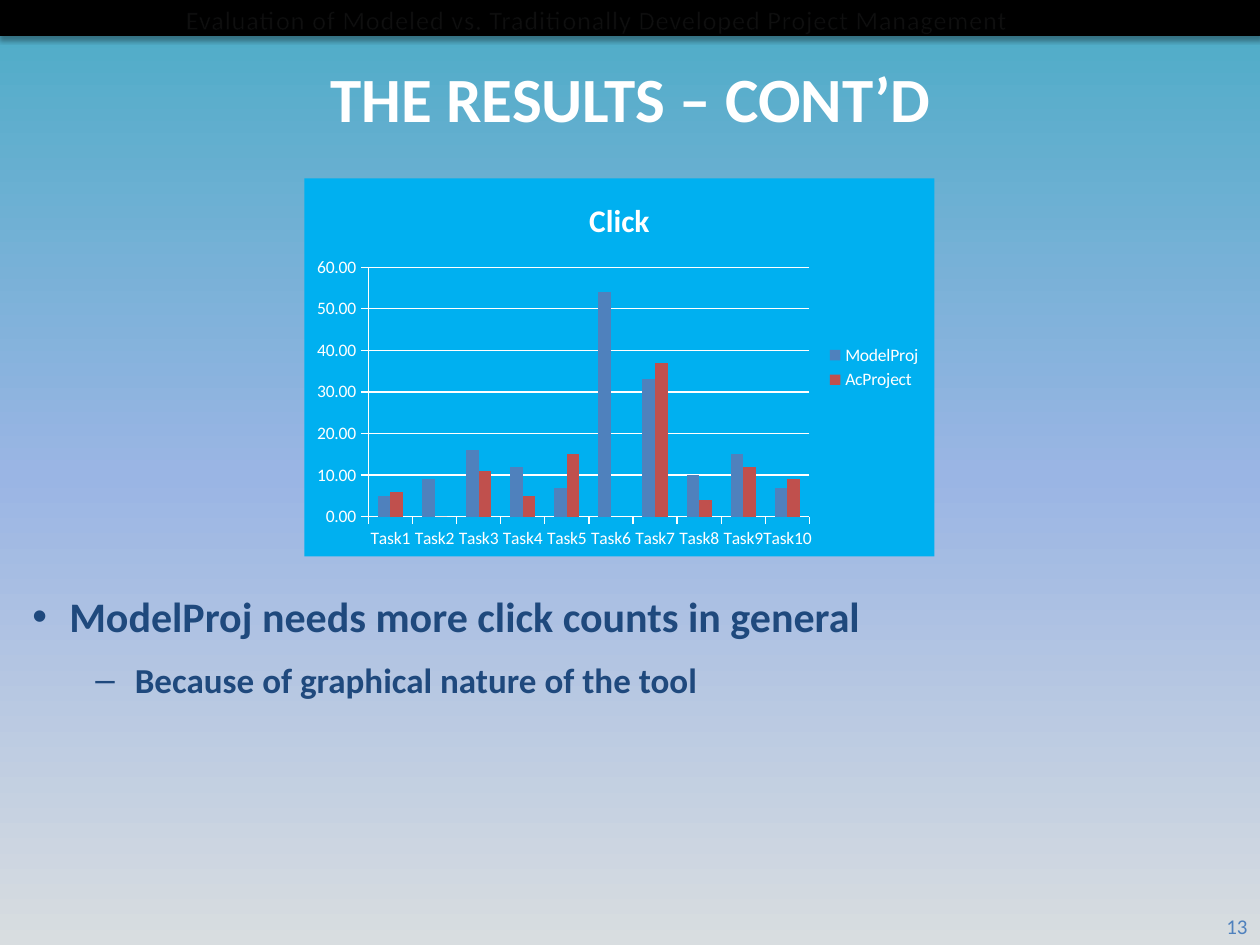
import copy

import lxml.etree
import pptx
import pptx.chart.data
import pptx.dml.color
import pptx.enum.chart
import pptx.enum.shapes
import pptx.enum.text
import pptx.oxml
import pptx.oxml.ns
import pptx.util

Pt = pptx.util.Pt
qn = pptx.oxml.ns.qn
ALIGN = pptx.enum.text.PP_ALIGN
ANCHOR = pptx.enum.text.MSO_ANCHOR
FONT = "Calibri"
COLORS = {
    "black": "000000", "white": "FFFFFF", "navy": "1F497D", "blue": "4F81BD",
    "red": "C0504D", "panel": "00B0F0", "outline": "101A26",
    "sky_top": "4BACC6", "sky_middle": "9AB5E4", "sky_bottom": "D8DDE0",
}
TASKS = [f"Task{number}" for number in range(1, 11)]
CLICKS = [
    ("ModelProj", "blue", [5, 9, 16, 12, 7, 54, 33, 10, 15, 7]),
    ("AcProject", "red", [6, 0, 11, 5, 15, None, 37, 4, 12, 9]),
]
BULLETS = [
    ("ModelProj needs more click counts in general", 24, "\u2022", 21, 21, 0),
    ("Because of graphical nature of the tool", 20, "\u2013", 58.5, 22.5, 4),
]


def rgb(name):
    return pptx.dml.color.RGBColor.from_string(COLORS[name])


def add_xml(parent, tag, **attributes):
    return lxml.etree.SubElement(parent, qn(tag), attributes)


def add_color(parent, name, alpha=None):
    color = add_xml(parent, "a:srgbClr", val=COLORS[name])
    if alpha:
        add_xml(color, "a:alpha", val=str(alpha * 1000))


def style_font(font, size, color, bold=False):
    font.name, font.size, font.bold = FONT, Pt(size), bold
    font.color.rgb = rgb(color)


def add_run(paragraph, text, size, color, bold=False):
    run = paragraph.add_run()
    run.text = text
    style_font(run.font, size, color, bold)
    return run


def add_text_box(slide, left, top, width, height, anchor=ANCHOR.TOP):
    frame = slide.shapes.add_textbox(Pt(left), Pt(top), Pt(width), Pt(height)).text_frame
    frame.word_wrap = True
    frame.vertical_anchor = anchor
    return frame


def fill_background(slide):
    fill = slide.background.fill
    fill.gradient()
    fill.gradient_angle = 270
    first_stop = next(slide.element.iter(qn("a:gs")))
    first_stop.addnext(copy.deepcopy(first_stop))
    names = ("sky_top", "sky_middle", "sky_bottom")
    for stop, name, position in zip(fill.gradient_stops, names, (0, 0.5, 1)):
        stop.color.rgb = rgb(name)
        stop.position = position


def add_header(slide):
    bar = slide.shapes.add_shape(
        pptx.enum.shapes.MSO_SHAPE.RECTANGLE, Pt(0), Pt(0), Pt(720), Pt(20))
    bar.fill.solid()
    bar.fill.fore_color.rgb = rgb("black")
    bar.line.color.rgb = rgb("black")
    bar.line.width = Pt(0.75)
    bar.shadow.inherit = False
    shadow = add_xml(bar.element.spPr.find(qn("a:effectLst")), "a:outerShdw",
                     blurRad=str(Pt(3.1)), dist=str(Pt(1.8)), dir="5400000", rotWithShape="0")
    add_color(shadow, "black", 35)

    frame = add_text_box(slide, 0, 2, 720, 28)
    frame.margin_top = 0
    paragraph = frame.paragraphs[0]
    paragraph.alignment = ALIGN.CENTER
    run = add_run(paragraph, "Evaluation of Modeled vs. Traditionally Developed "
                  "Project Management Tools", 15, "white")
    properties = run.font.fill._xPr
    properties.set("spc", "50")
    outline = lxml.etree.Element(qn("a:ln"), w=str(Pt(1.06)))
    add_color(add_xml(outline, "a:solidFill"), "outline", 6)
    properties.insert(0, outline)


def set_title(slide, text):
    title = slide.shapes.title
    title.left, title.top, title.width, title.height = Pt(11.5), Pt(28), Pt(698), Pt(55.5)
    title.text_frame.vertical_anchor = ANCHOR.MIDDLE
    paragraph = title.text_frame.paragraphs[0]
    paragraph.alignment = ALIGN.CENTER
    add_run(paragraph, text, 36, "white", True)


def style_axis(axis):
    axis.format.line.color.rgb = rgb("white")
    axis.major_tick_mark = pptx.enum.chart.XL_TICK_MARK.OUTSIDE
    axis.minor_tick_mark = pptx.enum.chart.XL_TICK_MARK.NONE
    style_font(axis.tick_labels.font, 10, "white")


def add_click_chart(slide):
    data = pptx.chart.data.CategoryChartData(number_format="0.00")
    data.categories = TASKS
    for name, color, values in CLICKS:
        data.add_series(name, values)
    chart = slide.shapes.add_chart(
        pptx.enum.chart.XL_CHART_TYPE.COLUMN_CLUSTERED,
        Pt(174), Pt(102), Pt(360), Pt(216), data).chart
    style_font(chart.font, 10, "white")
    chart.has_title = True
    add_run(chart.chart_title.text_frame.paragraphs[0], "Click", 18, "white", True)
    chart.has_legend = True
    chart.legend.position = pptx.enum.chart.XL_LEGEND_POSITION.RIGHT
    chart.legend.include_in_layout = False
    style_font(chart.legend.font, 10, "white")
    style_axis(chart.category_axis)
    axis = chart.value_axis
    style_axis(axis)
    axis.minimum_scale, axis.maximum_scale, axis.major_unit = 0, 60, 10
    axis.tick_labels.number_format = "0.00"
    axis.tick_labels.number_format_is_linked = False
    axis.has_major_gridlines = True
    axis.major_gridlines.format.line.color.rgb = rgb("white")
    plot = chart.plots[0]
    plot.gap_width, plot.overlap = 150, 0
    plot.vary_by_categories = False
    for series, (name, color, values) in zip(plot.series, CLICKS):
        series.invert_if_negative = False
        series.format.fill.solid()
        series.format.fill.fore_color.rgb = rgb(color)
    panel = lxml.etree.Element(qn("c:spPr"))
    add_color(add_xml(panel, "a:solidFill"), "panel")
    add_xml(add_xml(panel, "a:ln"), "a:noFill")
    chart.element.find(qn("c:chart")).addnext(panel)


def add_bullets(slide):
    frame = add_text_box(slide, 11.5, 334, 698, 178)
    for index, (text, size, mark, margin, hanging, before) in enumerate(BULLETS):
        paragraph = frame.add_paragraph() if index else frame.paragraphs[0]
        paragraph.level = index
        paragraph.space_before, paragraph.space_after = Pt(before), Pt(6)
        add_run(paragraph, text, size, "navy", True)
        properties = paragraph._p.get_or_add_pPr()
        properties.set("marL", str(Pt(margin)))
        properties.set("indent", str(-Pt(hanging)))
        add_xml(properties, "a:buFont", typeface="Arial")
        add_xml(properties, "a:buChar", char=mark)


def add_page_number(slide):
    frame = add_text_box(slide, 691, 511, 29, 29, ANCHOR.BOTTOM)
    frame.paragraphs[0].alignment = ALIGN.RIGHT
    add_run(frame.paragraphs[0], "13", 12, "blue")


def main():
    presentation = pptx.Presentation()
    presentation.slide_width, presentation.slide_height = Pt(720), Pt(540)
    slide = presentation.slides.add_slide(presentation.slide_layouts[5])
    fill_background(slide)
    add_header(slide)
    set_title(slide, "THE RESULTS \u2013 CONT\u2019D")
    add_bullets(slide)
    add_page_number(slide)
    add_click_chart(slide)
    presentation.save("out.pptx")


main()
